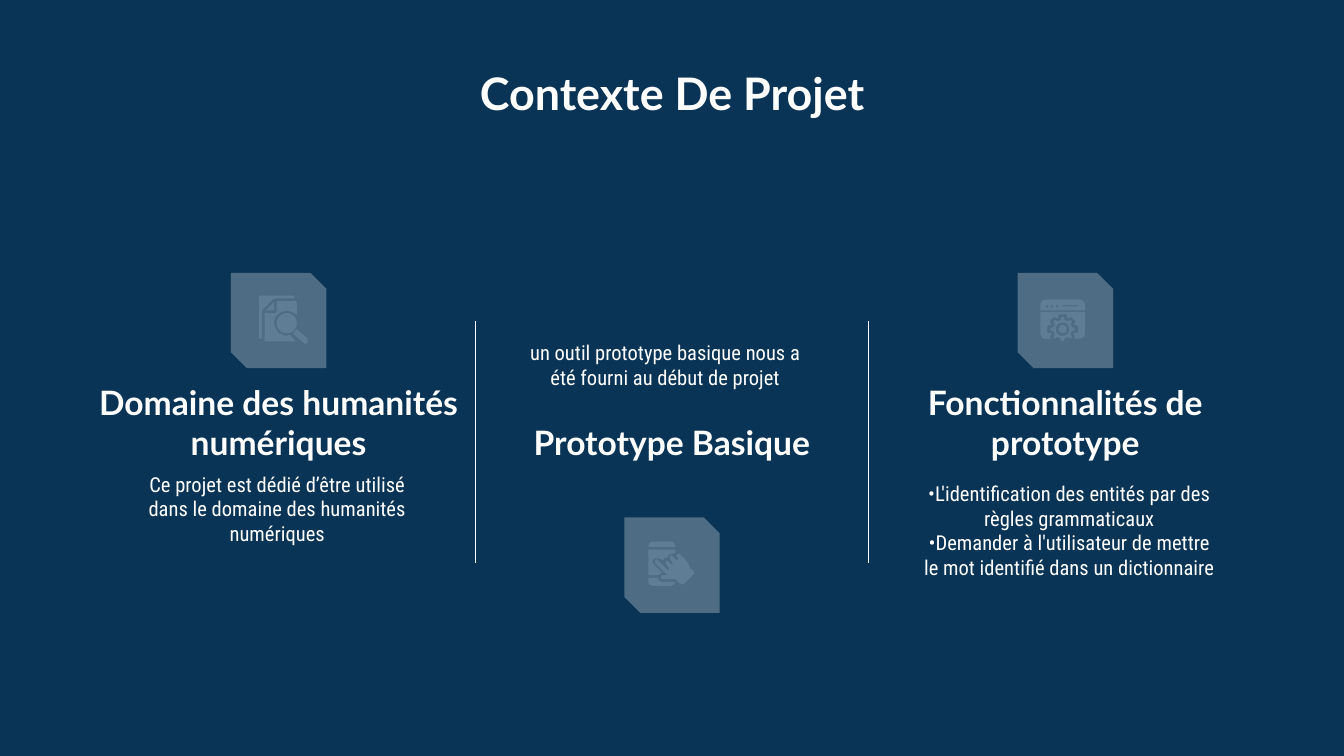
from dataclasses import dataclass
from math import cos, pi, sin

from lxml import etree
from pptx import Presentation
from pptx import util as u
from pptx.dml.color import RGBColor
from pptx.enum import shapes as kinds, text as t
from pptx.oxml import ns

Point = tuple[float, float]
Outline = list[Point]


@dataclass(frozen=True)
class Theme:
    background: str = "0A3455"
    ink: str = "FFFFFF"
    icon: str = "5F7D95"
    tile_alpha: int = 28
    heading_font: str = "Lato"
    body_font: str = "Roboto Condensed"
    title_size: int = 24
    heading_size: int = 18
    body_size: int = 11


@dataclass(frozen=True)
class Box:
    left: float
    top: float
    width: float
    height: float

    def emu(self) -> list[int]:
        return [u.Inches(v) for v in (self.left, self.top, self.width, self.height)]


@dataclass(frozen=True)
class Column:
    heading: str
    body: str
    body_top: float
    body_width: float
    body_shift: float  # offset of the body from the column's centre
    tile_top: float
    icon: list[list[Outline]]  # freeforms, each a list of closed outlines


THEME = Theme()
WIDTH = 10
HEIGHT = WIDTH * 9 / 16
MARGIN = 0.61
COLUMN_WIDTH = (WIDTH - 2 * MARGIN) / 3
TILE = 0.71
HEADING_TOP, HEADING_HEIGHT = 3.07, 0.47
BODY_HEIGHT = 1.1
RULE_TOP, RULE_BOTTOM = 2.39, 4.19


# Icon outlines, in hundredths of an inch from the tile's corner
def circle(x: float, y: float, radius: float, steps: int = 32) -> Outline:
    angles = [2 * pi * i / steps for i in range(steps)]
    return [(x + radius * cos(a), y + radius * sin(a)) for a in angles]


def gear(x: float, y: float, outer: float, inner: float, teeth: int = 8) -> Outline:
    points = []
    for tooth in range(teeth):
        for share, radius in ((-0.27, inner), (-0.14, outer), (0.14, outer), (0.27, inner)):
            angle = 2 * pi * (tooth + share) / teeth
            points.append((x + radius * cos(angle), y + radius * sin(angle)))
    return points


BACK_PAGE = [(21, 17), (21, 49), (23, 49), (23, 29), (24, 27), (31, 20), (33, 19),
             (47, 19), (47, 17)]
FOLD = [(32, 22), (26, 28), (32, 28)]
FRONT_PAGE = [(34, 21), (34, 29), (33, 30), (25, 30), (25, 51), (48, 51), (44, 46), (41, 47),
              (36, 45), (33, 41), (32, 37), (33, 33), (36, 30), (41, 28), (45, 29), (49, 31),
              (49, 22), (48, 21)]
HANDLE = [(49, 42), (46, 45), (54, 52), (55, 53), (57, 52), (57, 49)]
SEARCH = [[BACK_PAGE], [FOLD], [circle(41.5, 37.5, 7.5)], [FRONT_PAGE], [HANDLE]]

PHONE_TOP = [(18, 22), (18, 21), (19, 19), (21, 18), (35, 18), (37, 19), (38, 21), (38, 22)]
PHONE_SCREEN = [(18, 24), (18, 43), (25, 43), (28, 41), (22, 35), (21, 33), (22, 31), (24, 30),
                (27, 31), (29, 32), (30, 30), (32, 30), (33, 28), (35, 27), (37, 27), (38, 26),
                (38, 24)]
PHONE_BASE = [(18, 45), (18, 48), (19, 50), (21, 51), (35, 51), (37, 50), (38, 48), (28, 48),
              (26, 47), (25, 45)]
HAND = [(40, 27), (39, 28), (39, 29), (40, 30), (40, 31), (39, 32), (36, 29), (35, 28), (34, 29),
        (34, 31), (36, 34), (36, 35), (35, 35), (33, 33), (32, 32), (31, 33), (31, 35), (33, 37),
        (33, 39), (32, 39), (25, 32), (24, 31), (23, 32), (23, 34), (28, 39), (32, 43), (28, 43),
        (27, 45), (28, 46), (38, 46), (41, 49), (43, 50), (45, 49), (51, 43), (52, 41), (51, 39),
        (49, 38), (48, 35), (45, 31), (41, 27)]
TOUCH = [[PHONE_TOP], [PHONE_SCREEN], [PHONE_BASE], [HAND]]

TITLE_BAR = [(17, 28), (17, 23), (18, 21), (20, 20), (47, 20), (49, 21), (50, 23), (50, 28)]
ADDRESS = [(33, 24), (45, 24), (45, 25), (33, 25)]
DOTS = [circle(x, 25, 1, 12) for x in (22, 25.5, 29.5)]
# Left half of the window pane, mirrored about the gear's axis
PANE_LEFT = [(17, 29), (17, 46), (18, 48), (20, 49), (25, 49), (24, 48), (25, 46), (25, 45),
             (23, 45), (22, 44), (22, 40), (23, 39), (25, 39), (25, 38), (24, 37), (24, 36),
             (27, 33), (28, 33), (29, 34), (30, 34), (30, 32), (31, 31)]
PANE = PANE_LEFT + [(67 - x, y) for x, y in reversed(PANE_LEFT)]
SETTINGS = [[TITLE_BAR, ADDRESS, *DOTS], [PANE], [circle(33.5, 42, 3)],
            [gear(33.5, 42, 9, 7), circle(33.5, 42, 5)]]

COLUMNS = [
    Column("Domaine des humanités numériques",
           "Ce projet est dédié d’être utilisé dans le domaine des humanités numériques",
           3.41, 2.24, -0.01, 2.03, SEARCH),
    Column("Prototype Basique",
           "un outil prototype basique nous a été fourni au début de projet",
           2.43, 2.43, -0.05, 3.85, TOUCH),
    Column("Fonctionnalités de prototype",
           "•L'identification des entités par des règles grammaticaux\n"
           "•Demander à l'utilisateur de mettre le mot identifié dans un dictionnaire",
           3.48, 2.43, 0.03, 2.03, SETTINGS),
]


def write(holder, box: Box, words: str, font: str, size: int, bold: bool, anchor) -> None:
    """Place a text holder and give it centred, unbulleted text."""
    holder.left, holder.top, holder.width, holder.height = box.emu()
    frame = holder.text_frame
    frame.text = words
    frame.word_wrap = True
    frame.auto_size = t.MSO_AUTO_SIZE.NONE
    frame.vertical_anchor = anchor
    frame.margin_left = frame.margin_right = u.Inches(0.1)
    frame.margin_top = frame.margin_bottom = u.Inches(0.1)
    for para in frame.paragraphs:
        para.alignment = t.PP_ALIGN.CENTER
        para.space_before = para.space_after = u.Pt(0)
        properties = para._p.get_or_add_pPr()
        properties.set("marL", "0")
        properties.set("indent", "0")
        etree.SubElement(properties, ns.qn("a:buNone"))
        for span in para.runs:
            span.font.name, span.font.size, span.font.bold = font, u.Pt(size), bold
            span.font.color.rgb = RGBColor.from_string(THEME.ink)


def paint(shape, colour: str) -> None:
    shape.shadow.inherit = False
    shape.fill.solid()
    shape.fill.fore_color.rgb = RGBColor.from_string(colour)
    shape.line.fill.background()


def draw_tile(page, left: float, top: float, icon: list[list[Outline]]) -> None:
    tile = page.shapes.add_shape(kinds.MSO_SHAPE.SNIP_2_DIAG_RECTANGLE,
                                 *Box(left, top, TILE, TILE).emu())
    tile.adjustments[0], tile.adjustments[1] = 0, 0.167
    paint(tile, THEME.ink)
    colour = tile._element.spPr.find(ns.qn("a:solidFill"))[0]
    etree.SubElement(colour, ns.qn("a:alpha"), val=str(THEME.tile_alpha * 1000))

    group = page.shapes.add_group_shape()
    for outlines in icon:
        placed = [[(u.Inches(left + x / 100), u.Inches(top + y / 100)) for x, y in outline]
                  for outline in outlines]
        builder = group.shapes.build_freeform(*placed[0][0])
        for number, points in enumerate(placed):
            if number:
                builder.move_to(*points[0])
            builder.add_line_segments(points[1:], close=True)
        paint(builder.convert_to_shape(), THEME.icon)


def draw_rule(page, x: float) -> None:
    rule = page.shapes.add_connector(kinds.MSO_CONNECTOR.STRAIGHT, u.Inches(x),
                                     u.Inches(RULE_TOP), u.Inches(x), u.Inches(RULE_BOTTOM))
    rule.line.color.rgb = RGBColor.from_string(THEME.ink)
    rule.line.width = u.Pt(0.75)
    etree.SubElement(rule._element.spPr, ns.qn("a:effectLst"))


def main() -> None:
    deck = Presentation()
    deck.slide_width, deck.slide_height = u.Inches(WIDTH), u.Inches(HEIGHT)
    page = deck.slides.add_slide(deck.slide_layouts.get_by_name("Comparison"))
    page.background.fill.solid()
    page.background.fill.fore_color.rgb = RGBColor.from_string(THEME.background)

    # Title, and one body placeholder per column
    title, *bodies = list(page.placeholders)
    write(title, Box(2.15, 0.39, 5.7, 1.03), "Contexte De Projet",
          THEME.heading_font, THEME.title_size, True, t.MSO_ANCHOR.TOP)
    for spare in bodies[len(COLUMNS):]:
        spare._element.getparent().remove(spare._element)

    # Columns, with a rule between neighbours
    for number, (column, body) in enumerate(zip(COLUMNS, bodies)):
        left = MARGIN + number * COLUMN_WIDTH
        centre = left + COLUMN_WIDTH / 2
        heading = page.shapes.add_textbox(0, 0, 0, 0)
        write(heading, Box(left, HEADING_TOP, COLUMN_WIDTH, HEADING_HEIGHT), column.heading,
              THEME.heading_font, THEME.heading_size, True, t.MSO_ANCHOR.BOTTOM)
        body_left = centre + column.body_shift - column.body_width / 2
        write(body, Box(body_left, column.body_top, column.body_width, BODY_HEIGHT), column.body,
              THEME.body_font, THEME.body_size, False, t.MSO_ANCHOR.TOP)
        draw_tile(page, centre - TILE / 2, column.tile_top, column.icon)
        if number:
            draw_rule(page, left)

    deck.save("out.pptx")


if __name__ == "__main__":
    main()
